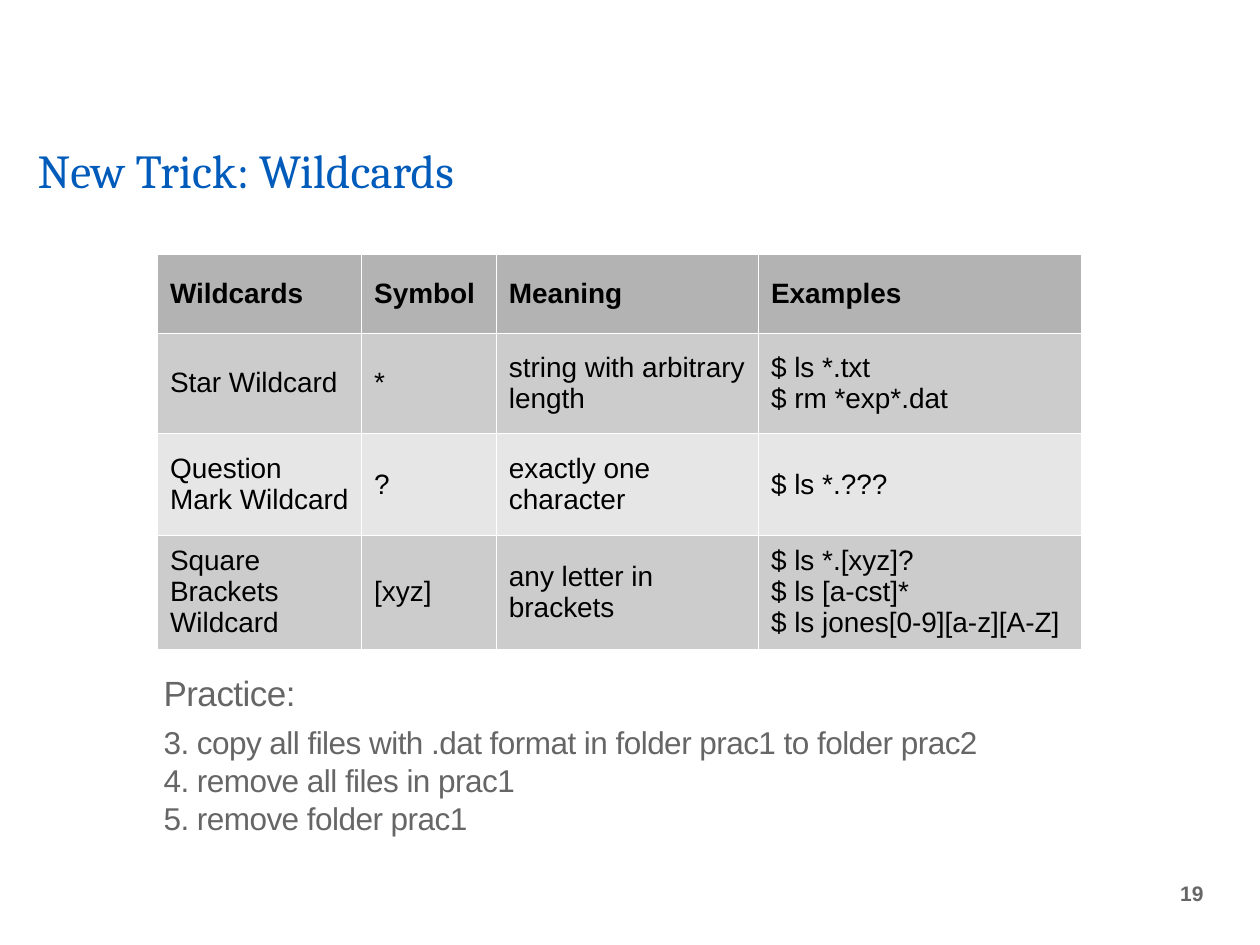
from dataclasses import dataclass
from typing import NamedTuple

from lxml.etree import SubElement
from pptx import Presentation
from pptx.dml.color import RGBColor
from pptx.enum.text import MSO_ANCHOR, PP_ALIGN
from pptx.oxml.ns import qn
from pptx.util import Inches, Pt


@dataclass(frozen=True)
class Theme:
    body_font: str = "Arial"
    title_font: str = "Cambria"
    title: str = "005BBB"
    grey: str = "666666"
    black: str = "000000"
    border: str = "FFFFFF"
    header_fill: str = "B3B3B3"
    bands: tuple = ("CCCCCC", "E6E6E6")
    title_size: int = 27
    heading_size: int = 20
    body_size: int = 18
    table_size: int = 16
    number_size: int = 12


class Box(NamedTuple):
    """A rectangle given as shares of the slide's width and height."""
    left: float
    top: float
    width: float
    height: float


class Wildcard(NamedTuple):
    name: str
    symbol: str
    meaning: str
    examples: str


THEME = Theme()
SLIDE_W, SLIDE_H = Inches(10), Inches(7.5)

TITLE_BOX = Box(0.02, 1.1 / 7.5, 0.904, 0.52 / 7.5)
TABLE_BOX = Box(0.125, 2.02 / 7.5, 0.733, 3.09 / 7.5)
HEADING_BOX = Box(0.12, 5.28 / 7.5, 0.4, 0.41 / 7.5)
TASKS_BOX = Box(0.12, 5.69 / 7.5, 0.72, 1.09 / 7.5)
NUMBER_BOX = Box(0.906, 6.8 / 7.5, 0.059, 0.58 / 7.5)

# Column and row weights of the table grid
COLUMNS = (1.62, 1.07, 2.08, 2.56)
ROWS = (0.62, 0.8, 0.81, 0.86)

WILDCARDS = (
    Wildcard("Wildcards", "Symbol", "Meaning", "Examples"),
    Wildcard("Star Wildcard", "*", "string with arbitrary length",
             "$ ls *.txt\n$ rm *exp*.dat"),
    Wildcard("Question Mark Wildcard", "?", "exactly one character", "$ ls *.???"),
    Wildcard("Square Brackets Wildcard", "[xyz]", "any letter in brackets",
             "$ ls *.[xyz]?\n$ ls [a-cst]*\n$ ls jones[0-9][a-z][A-Z]"),
)
TASKS = ("3. copy all files with .dat format in folder prac1 to folder prac2\n"
         "4. remove all files in prac1\n"
         "5. remove folder prac1")


def place(box: Box) -> tuple:
    return (int(box.left * SLIDE_W), int(box.top * SLIDE_H),
            int(box.width * SLIDE_W), int(box.height * SLIDE_H))


def write(tf, text: str, *, size: float, color: str, font: str = THEME.body_font,
          bold: bool = False, align=PP_ALIGN.LEFT, line_spacing=None,
          tracking: float = 0) -> None:
    """Fill a text frame with one paragraph per line of text."""
    for i, line in enumerate(text.split("\n")):
        p = tf.paragraphs[0] if i == 0 else tf.add_paragraph()
        p.alignment = align
        if line_spacing:
            p.line_spacing = line_spacing
        r = p.add_run()
        r.text = line
        r.font.size = Pt(size)
        r.font.name = font
        r.font.bold = bold
        r.font.color.rgb = RGBColor.from_string(color)
        if tracking:
            r.font._element.set("spc", str(round(tracking * 100)))


def add_text(s, box: Box, text: str, anchor=MSO_ANCHOR.TOP, **style) -> None:
    tf = s.shapes.add_textbox(*place(box)).text_frame
    tf.word_wrap = True
    tf.vertical_anchor = anchor
    write(tf, text, **style)


def set_borders(cell, color: str, width: float) -> None:
    tc_pr = cell._tc.get_or_add_tcPr()
    for i, side in enumerate(("lnL", "lnR", "lnT", "lnB")):
        ln = tc_pr.makeelement(qn(f"a:{side}"), {"w": str(Pt(width))})
        fill = SubElement(ln, qn("a:solidFill"))
        SubElement(fill, qn("a:srgbClr"), val=color)
        tc_pr.insert(i, ln)


def add_table(s, box: Box, rows: tuple) -> None:
    left, top, width, height = place(box)
    table = s.shapes.add_table(len(rows), len(COLUMNS), left, top, width, height).table
    for column, weight in zip(table.columns, COLUMNS):
        column.width = int(width * weight / sum(COLUMNS))
    for row, weight in zip(table.rows, ROWS):
        row.height = int(height * weight / sum(ROWS))
    for i, row in enumerate(rows):
        header = i == 0
        color = THEME.header_fill if header else THEME.bands[(i - 1) % 2]
        for j, text in enumerate(row):
            cell = table.cell(i, j)
            cell.vertical_anchor = MSO_ANCHOR.MIDDLE
            cell.fill.solid()
            cell.fill.fore_color.rgb = RGBColor.from_string(color)
            set_borders(cell, THEME.border, 0.06)
            write(cell.text_frame, text, size=THEME.table_size,
                  color=THEME.black, bold=header)


def main() -> None:
    prs = Presentation()
    prs.slide_width, prs.slide_height = SLIDE_W, SLIDE_H
    s = prs.slides.add_slide(prs.slide_layouts[6])

    # Title
    add_text(s, TITLE_BOX, "New Trick: Wildcards", MSO_ANCHOR.BOTTOM,
             size=THEME.title_size, color=THEME.title, font=THEME.title_font,
             line_spacing=0.8)

    # Table of wildcards
    add_table(s, TABLE_BOX, WILDCARDS)

    # Practice tasks
    add_text(s, HEADING_BOX, "Practice:", size=THEME.heading_size,
             color=THEME.grey, tracking=-0.3)
    add_text(s, TASKS_BOX, TASKS, size=THEME.body_size,
             color=THEME.grey, tracking=-0.3)

    # Slide number
    add_text(s, NUMBER_BOX, "19", MSO_ANCHOR.MIDDLE, size=THEME.number_size,
             color=THEME.grey, bold=True, align=PP_ALIGN.RIGHT)

    prs.save("out.pptx")


if __name__ == "__main__":
    main()
